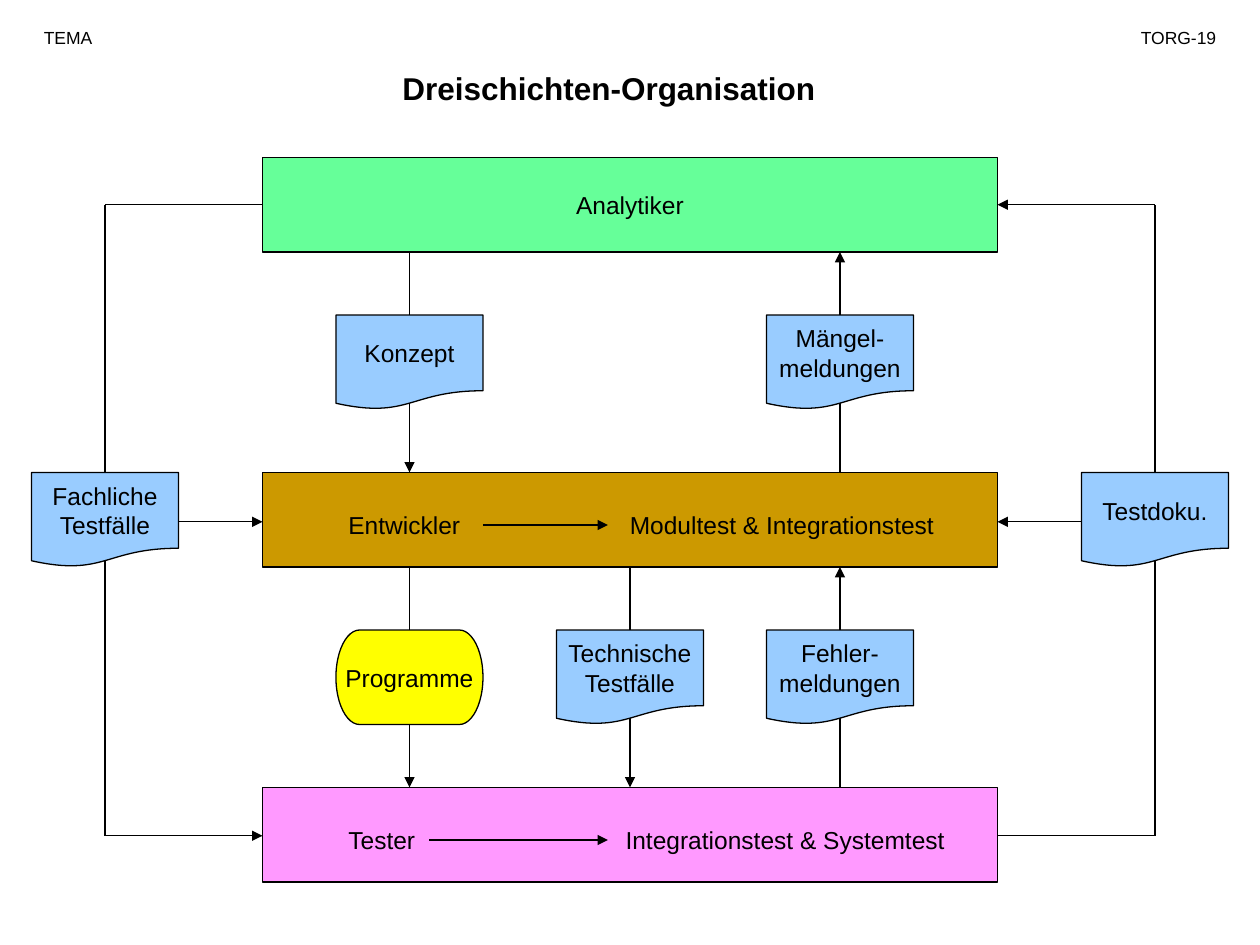
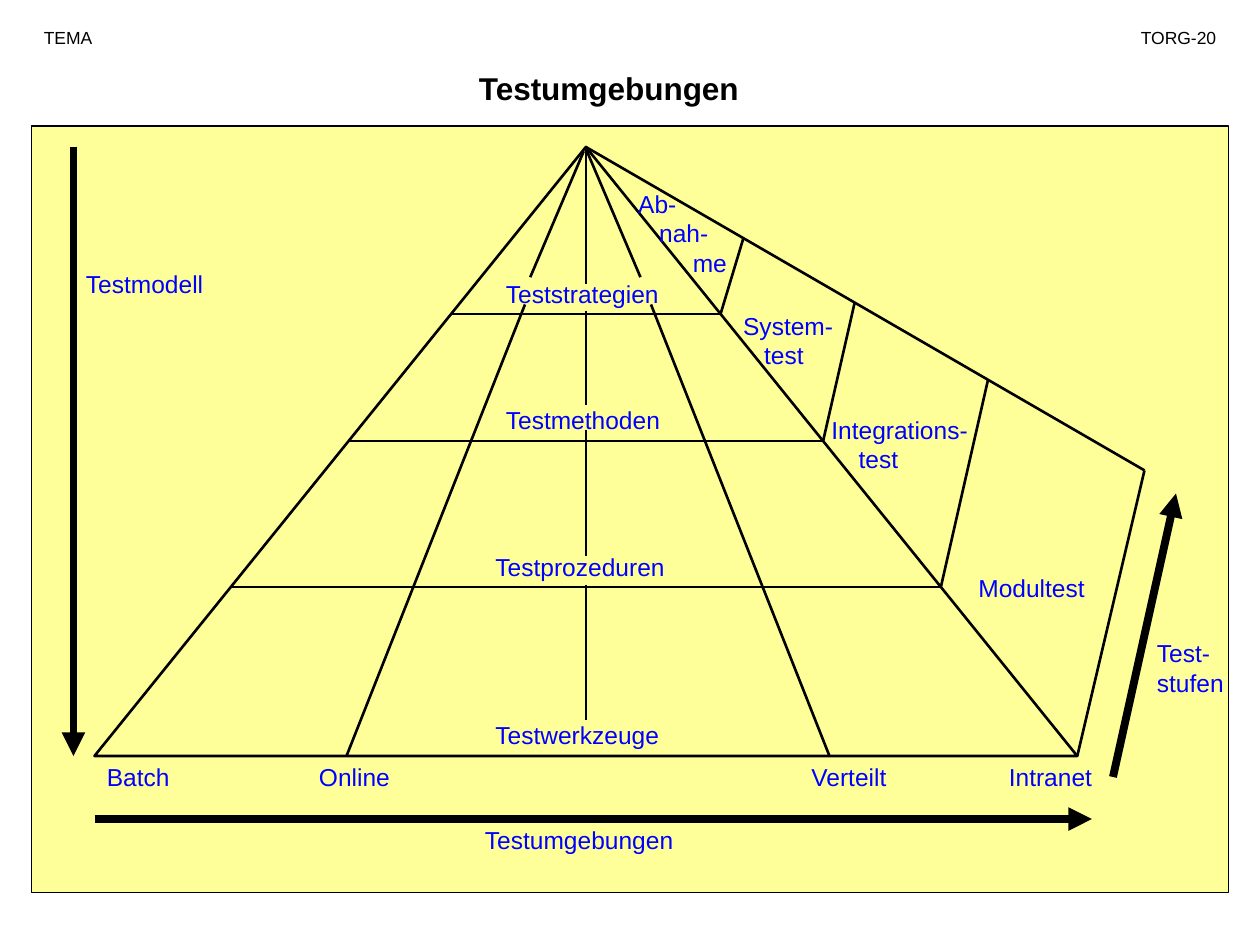
from itertools import pairwise, zip_longest

from pptx import Presentation
from pptx import util as u
from pptx.dml.color import RGBColor
from pptx.enum import shapes, text
from pptx.oxml.ns import qn
from lxml import etree

PX = 7620  # EMU, 120 px to the inch
FONT = "Arial"
BLACK, BLUE = "000000", "0000FF"
GREEN, OCHRE, PINK = "66FF99", "CC9900", "FF99FF"
SHEET, YELLOW, PALE = "99CCFF", "FFFF00", "FFFF99"
LEFT, CENTER, RIGHT = (text.PP_ALIGN.LEFT, text.PP_ALIGN.CENTER,
                       text.PP_ALIGN.RIGHT)
KIND = shapes.MSO_SHAPE

# Three-layer chart
BAR_X, BAR_W, BAR_H = 250, 700, 90
BAR_RIGHT = BAR_X + BAR_W
ANALYST_Y, DEVELOPER_Y, TESTER_Y = 150, 450, 750
SHEET_W, SHEET_H = 140, 90
WAVE_Y = 84  # where the wavy lower edge crosses the middle of a sheet

# Pyramid
APEX_X, APEX_Y = 558, 140
HALF_BASE, HEIGHT = 468, 580
BASE_Y = APEX_Y + HEIGHT
CORNER_X, CORNER_Y = 1090, 448


def px(n):
    return u.Emu(round(n * PX))


def rgb(value):
    return RGBColor.from_string(value)


def write(tf, lines, size=14, color=BLACK, bold=False, align=LEFT,
          indents=(), tabs=()):
    """One paragraph per line; indents and tab stops are in px."""
    for i, (line, indent) in enumerate(zip_longest(lines, indents, fillvalue=0)):
        p = tf.paragraphs[0] if i == 0 else tf.add_paragraph()
        p.alignment = align
        pPr = p._p.get_or_add_pPr()
        if indent:
            pPr.set("marL", str(px(indent)))
        if tabs:
            stops = etree.SubElement(pPr, qn("a:tabLst"))
            for pos in tabs:
                etree.SubElement(stops, qn("a:tab"), pos=str(px(pos)), algn="l")
        r = p.add_run()
        r.text = line
        r.font.name, r.font.size, r.font.bold = FONT, u.Pt(size), bold
        r.font.color.rgb = rgb(color)


def add_label(slide, x, y, w, lines, size=14, **style):
    h = 13 + 2 * size * len(lines)
    tf = slide.shapes.add_textbox(px(x), px(y), px(w), px(h)).text_frame
    tf.word_wrap = True
    write(tf, lines, size, **style)


def add_box(slide, kind, x, y, w, h, fill, lines=(), weight=0.75):
    sp = slide.shapes.add_shape(kind, px(x), px(y), px(w), px(h))
    sp.shadow.inherit = False
    sp.fill.solid()
    sp.fill.fore_color.rgb = rgb(fill)
    sp.line.color.rgb = rgb(BLACK)
    sp.line.width = u.Pt(weight)
    tf = sp.text_frame
    tf.word_wrap = False
    tf.vertical_anchor = text.MSO_ANCHOR.MIDDLE
    write(tf, lines, align=CENTER)


def add_path(slide, *points, weight=0.75, arrow=False):
    """Straight lines from point to point, with an arrowhead at the last."""
    for (x1, y1), (x2, y2) in pairwise(points):
        line = slide.shapes.add_connector(
            shapes.MSO_CONNECTOR.STRAIGHT, px(x1), px(y1), px(x2), px(y2))
        line.line.color.rgb = rgb(BLACK)
        line.line.width = u.Pt(weight)
        etree.SubElement(line._element.spPr, qn("a:effectLst"))
    if arrow:
        etree.SubElement(line.line._get_or_add_ln(), qn("a:tailEnd"),
                         type="triangle")


def add_slide(prs, title, page):
    slide = prs.slides.add_slide(prs.slide_layouts[6])
    add_label(slide, 90, 60, 980, [title], 18, bold=True, align=CENTER)
    add_label(slide, 30, 20, 110, ["TEMA"], 10)
    add_label(slide, 1040, 20, 130, [page], 10, align=RIGHT)
    return slide


def add_sheet(slide, x, y, lines, kind=KIND.FLOWCHART_DOCUMENT, fill=SHEET):
    add_box(slide, kind, x - SHEET_W / 2, y, SHEET_W, SHEET_H, fill, lines)


def add_flow(slide, x, bar_y, lines, up=False, **look):
    """A sheet at x between the bar at bar_y and the next bar below it."""
    y = bar_y + 150
    foot = y + (SHEET_H if look else WAVE_Y)
    upper = [(x, bar_y + BAR_H), (x, y)]
    lower = [(x, foot), (x, bar_y + 300)]
    add_sheet(slide, x, y, lines, **look)
    add_path(slide, *(upper[::-1] if up else upper), arrow=up)
    add_path(slide, *lower, arrow=not up)


def add_step(slide, y, words, tab, arrow_from):
    """Role and its tests inside a bar, joined by an arrow."""
    add_label(slide, 320, y + 30, 600, ["\t".join(words)], tabs=[tab])
    add_path(slide, (arrow_from, y + 50), (579, y + 50), arrow=True)


def build_organisation(prs):
    slide = add_slide(prs, "Dreischichten-Organisation", "TORG-19")
    for y, fill, lines in ((ANALYST_Y, GREEN, ["Analytiker"]),
                           (DEVELOPER_Y, OCHRE, []),
                           (TESTER_Y, PINK, [])):
        add_box(slide, KIND.RECTANGLE, BAR_X, y, BAR_W, BAR_H, fill, lines)
    add_step(slide, DEVELOPER_Y, ["Entwickler", "Modultest & Integrationstest"],
             268, 460)
    add_step(slide, TESTER_Y, ["Tester", "Integrationstest & Systemtest"],
             264, 409)

    add_flow(slide, 390, ANALYST_Y, ["Konzept"])
    add_flow(slide, 800, ANALYST_Y, ["Mängel-", "meldungen"], up=True)
    add_flow(slide, 390, DEVELOPER_Y, ["Programme"],
             kind=KIND.FLOWCHART_TERMINATOR, fill=YELLOW)
    add_flow(slide, 600, DEVELOPER_Y, ["Technische", "Testfälle"])
    add_flow(slide, 800, DEVELOPER_Y, ["Fehler-", "meldungen"], up=True)

    top, middle, bottom = 195, 497, 796
    foot = DEVELOPER_Y + WAVE_Y
    cases_x, report_x = 100, 1100
    add_sheet(slide, cases_x, DEVELOPER_Y, ["Fachliche", "Testfälle"])
    add_path(slide, (BAR_X, top), (cases_x, top), (cases_x, DEVELOPER_Y))
    add_path(slide, (cases_x + SHEET_W / 2, middle), (BAR_X, middle), arrow=True)
    add_path(slide, (cases_x, foot), (cases_x, bottom), (BAR_X, bottom),
             arrow=True)

    add_sheet(slide, report_x, DEVELOPER_Y, ["Testdoku."])
    add_path(slide, (report_x, DEVELOPER_Y), (report_x, top), (BAR_RIGHT, top),
             arrow=True)
    add_path(slide, (report_x - SHEET_W / 2, middle), (BAR_RIGHT, middle),
             arrow=True)
    add_path(slide, (BAR_RIGHT, bottom), (report_x, bottom), (report_x, foot))


def add_level(slide, y, ridge_x):
    """A level line across the front, carried on to the ridge of the side."""
    half = HALF_BASE * (y - APEX_Y) / HEIGHT
    slope = (CORNER_Y - APEX_Y) / (CORNER_X - APEX_X)
    ridge_y = APEX_Y + (ridge_x - APEX_X) * slope
    add_path(slide, (APEX_X - half, y), (APEX_X + half, y), (ridge_x, ridge_y),
             weight=1.5)


def build_environments(prs):
    slide = add_slide(prs, "Testumgebungen", "TORG-20")
    add_box(slide, KIND.RECTANGLE, 30, 120, 1140, 730, PALE)
    add_box(slide, KIND.ISOSCELES_TRIANGLE, APEX_X - HALF_BASE, APEX_Y,
            2 * HALF_BASE, HEIGHT, PALE, weight=1.5)
    add_path(slide, (APEX_X, APEX_Y), (CORNER_X, CORNER_Y),
             (APEX_X + HALF_BASE, BASE_Y), weight=1.5)
    for y, ridge_x in ((299, 708), (420, 814), (559, 941)):
        add_level(slide, y, ridge_x)
    for y1, y2 in ((APEX_Y, 270), (296, 386), (410, 530), (557, 686)):
        add_path(slide, (APEX_X, y1), (APEX_X, y2), weight=1.5)
    for x1, y1, x2, y2 in ((556, 144, 505, 264), (559, 144, 610, 264),
                           (500, 290, 330, BASE_Y), (620, 290, 790, BASE_Y)):
        add_path(slide, (x1, y1), (x2, y2), weight=1.5)

    for start, end in (((70, 140), (70, 720)),
                       ((90, 780), (1040, 780)),
                       ((1060, 740), (1120, 470))):
        add_path(slide, start, end, weight=4.5, arrow=True)

    for x, y, w, lines, indents in (
            (470, 260, 190, ["Teststrategien"], ()),
            (470, 380, 180, ["Testmethoden"], ()),
            (460, 520, 200, ["Testprozeduren"], ()),
            (460, 680, 190, ["Testwerkzeuge"], ()),
            (590, 174, 140, ["Ab-", "nah-", "me"], (6, 26, 58)),
            (690, 290, 120, ["System-", "test"], (6, 26)),
            (780, 389, 180, ["Integrations-", "test"], (0, 26)),
            (920, 540, 140, ["Modultest"], ()),
            (70, 250, 150, ["Testmodell"], ()),
            (450, 780, 210, ["Testumgebungen"], ()),
            (1090, 602, 90, ["Test-", "stufen"], ())):
        add_label(slide, x, y, w, lines, color=BLUE, indents=indents)
    add_label(slide, 90, 720, 970, ["Batch\tOnline\tVerteilt\tIntranet"],
              color=BLUE, tabs=(202, 671, 859))


def main():
    prs = Presentation()
    prs.slide_width, prs.slide_height = px(1200), px(900)
    build_organisation(prs)
    build_environments(prs)
    prs.save("out.pptx")


if __name__ == "__main__":
    main()
